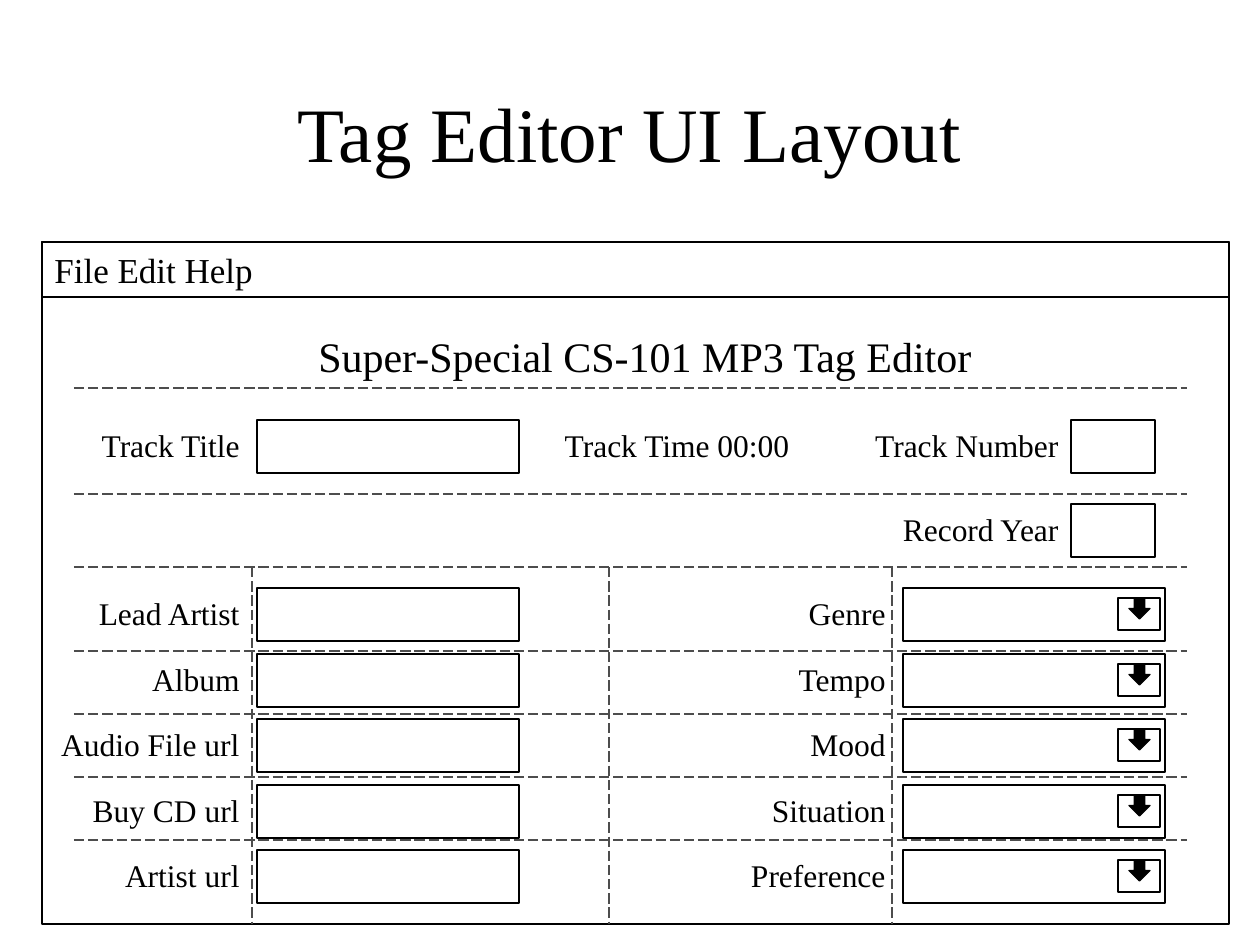
from lxml.etree import SubElement
from pptx import Presentation
from pptx.dml.color import RGBColor
from pptx.enum.dml import MSO_LINE
from pptx.enum.shapes import MSO_CONNECTOR, MSO_SHAPE
from pptx.enum.text import MSO_ANCHOR, PP_ALIGN
from pptx.oxml.ns import qn
from pptx.util import Emu, Pt

BLACK = RGBColor(0, 0, 0)
GRAY = RGBColor(0x4D, 0x4D, 0x4D)
FONT = "Times New Roman"
SCALE = 914400 / 126  # EMU per px


def px(*lengths):
    return [Emu(round(n * SCALE)) for n in lengths]


class Form:
    """Draws wireframe elements on one slide."""

    def __init__(self, slide):
        self.shapes = slide.shapes

    def set_text(self, tf, text, size, align, anchor=MSO_ANCHOR.TOP):
        tf.word_wrap = True
        tf.vertical_anchor = anchor
        p = tf.paragraphs[0]
        p.alignment = align
        r = p.add_run()
        r.text = text
        r.font.name = FONT
        r.font.size = Pt(size)
        r.font.color.rgb = BLACK

    def text(self, x, y, w, h, text, size=18, align=PP_ALIGN.RIGHT,
             anchor=MSO_ANCHOR.TOP):
        tb = self.shapes.add_textbox(*px(x, y, w, h))
        self.set_text(tb.text_frame, text, size, align, anchor)

    def box(self, x, y, w, h, kind=MSO_SHAPE.RECTANGLE, fill=None):
        sp = self.shapes.add_shape(kind, *px(x, y, w, h))
        sp.shadow.inherit = False
        if fill is None:
            sp.fill.background()
        else:
            sp.fill.solid()
            sp.fill.fore_color.rgb = fill
        sp.line.color.rgb = BLACK
        sp.line.width = Pt(0.75)
        return sp

    def field(self, x, y, w=262):
        self.box(x, y, w, 53)

    def dropdown(self, x, y):
        self.field(x, y)
        self.box(x + 215, y + 10, 42, 32)
        self.box(x + 226, y + 10, 21, 21, MSO_SHAPE.DOWN_ARROW, BLACK)

    def divider(self, x1, y1, x2, y2):
        line = self.shapes.add_connector(MSO_CONNECTOR.STRAIGHT, *px(x1, y1, x2, y2))
        line.line.color.rgb = GRAY
        line.line.width = Pt(0.75)
        line.line.dash_style = MSO_LINE.LONG_DASH
        SubElement(line._element.spPr, qn("a:effectLst"))


def main():
    prs = Presentation()
    prs.slide_width, prs.slide_height = px(1260, 945)
    form = Form(prs.slides.add_slide(prs.slide_layouts[6]))

    # Headings
    form.text(94, 53, 1071, 157, "Tag Editor UI Layout", 44,
              PP_ALIGN.CENTER, MSO_ANCHOR.MIDDLE)
    form.text(136, 324, 1018, 63, "Super-Special CS-101 MP3 Tag Editor", 24,
              PP_ALIGN.CENTER)

    # Window frame and menu bar
    form.box(42, 242, 1187, 682)
    menu = form.box(42, 242, 1187, 55)
    form.set_text(menu.text_frame, "File Edit Help", 20, PP_ALIGN.LEFT)

    # Track details
    form.text(42, 420, 210, 50, "Track Title")
    form.field(257, 420)
    form.text(535, 420, 284, 50, "Track Time 00:00", align=PP_ALIGN.CENTER)
    for y, label in ((420, "Track Number"), (504, "Record Year")):
        form.text(829, y, 242, 50, label)
        form.field(1071, y, 84)

    # Text fields on the left, drop-down lists on the right
    rows = [("Lead Artist", "Genre"), ("Album", "Tempo"),
            ("Audio File url", "Mood"), ("Buy CD url", "Situation"),
            ("Artist url", "Preference")]
    for i, (left, right) in enumerate(rows):
        y = 588 + round(65.6 * i)
        form.text(42, y, 210, 50, left)
        form.field(257, y)
        form.text(688, y, 210, 50, right)
        form.dropdown(903, y)

    # Dashed layout grid
    for y in (388, 494, 567, *range(651, 841, 63)):
        form.divider(74, y, 1187, y)
    for x in (252, 609, 892):
        form.divider(x, 567, x, 924)

    prs.save("out.pptx")


if __name__ == "__main__":
    main()
